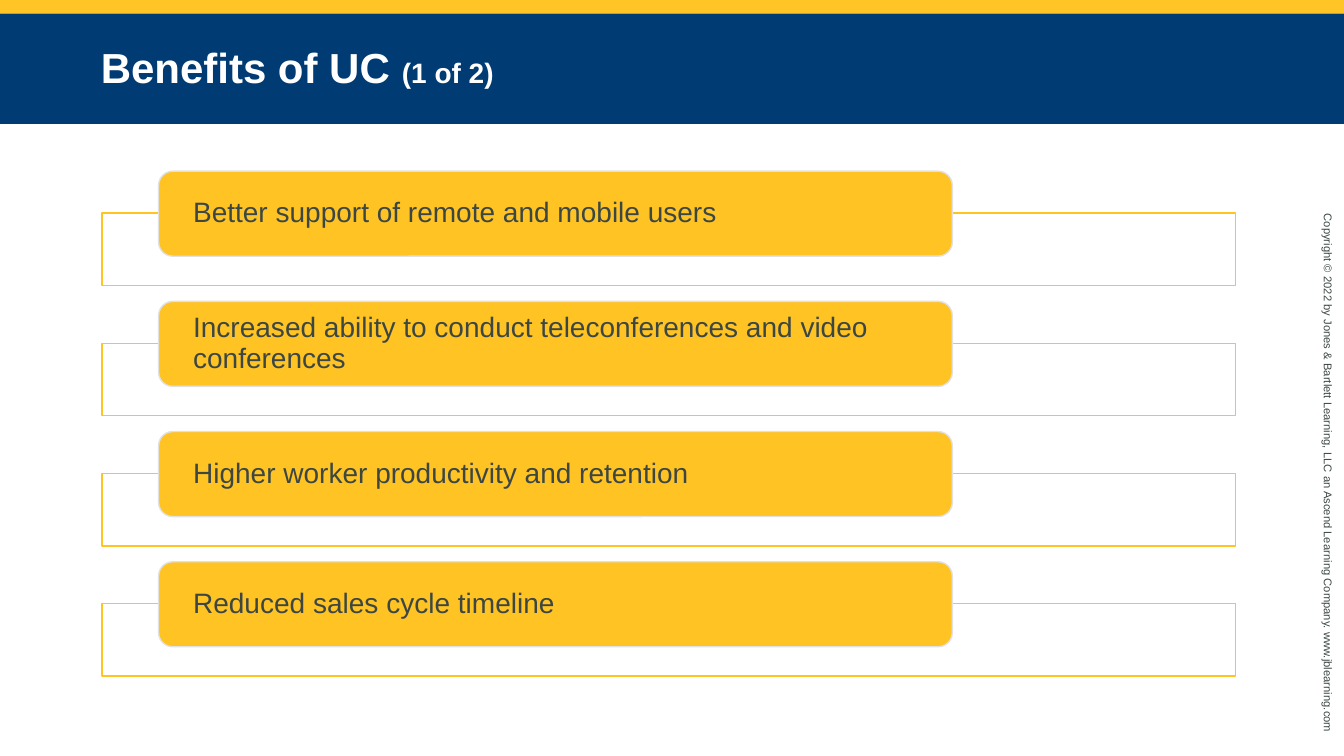
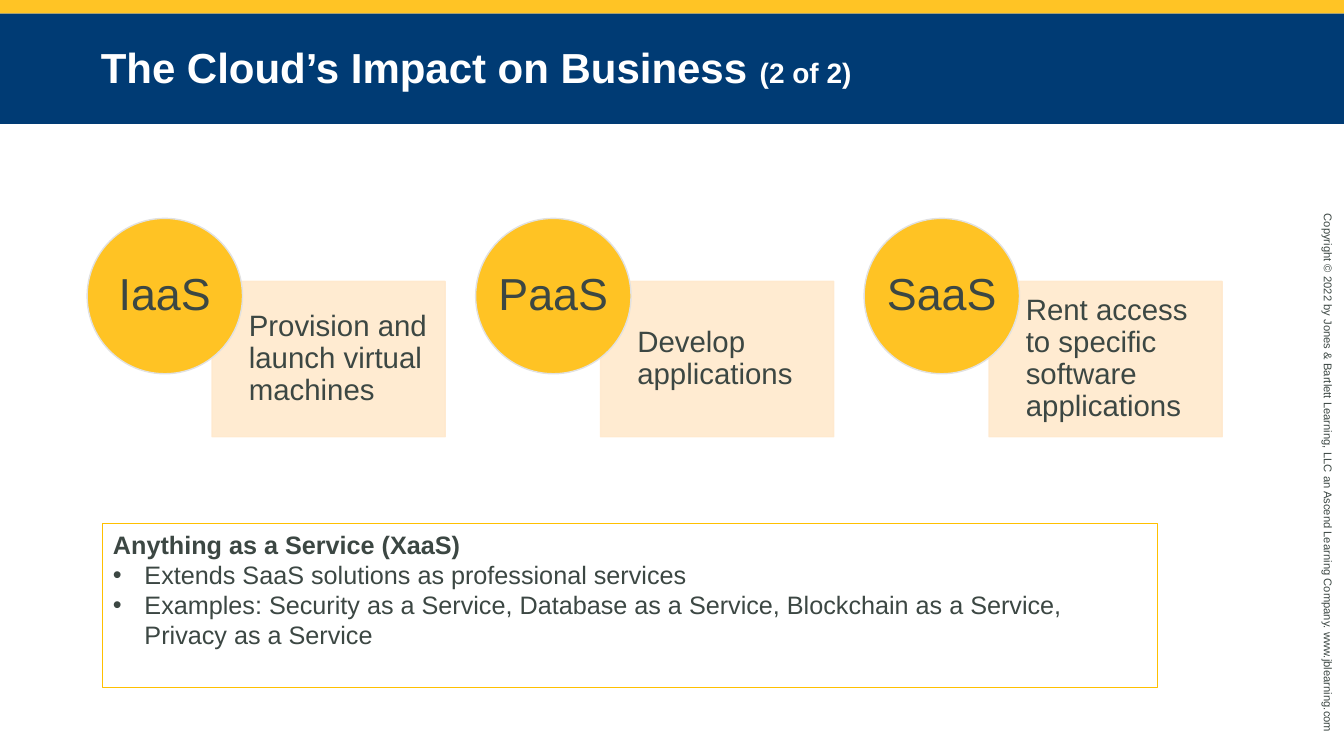
from dataclasses import dataclass

from lxml.etree import SubElement
from pptx import Presentation
from pptx.dml.color import RGBColor
from pptx.enum.shapes import MSO_SHAPE
from pptx.enum.text import MSO_ANCHOR, MSO_AUTO_SIZE, PP_ALIGN
from pptx.oxml.ns import qn
from pptx.util import Pt

PX = 9525  # EMU in one px, on a 1280 x 720 px slide


@dataclass(frozen=True)
class Theme:
    font: str = "Arial"
    band: str = "FFC425"
    title_fill: str = "003B74"
    title_text: str = "FFFFFF"
    text: str = "3C4743"
    accent: str = "FFC324"
    accent_edge: str = "E1E1E1"
    panel: str = "FFE9CD"
    list_edge: str = "FFC000"
    title_size: int = 30
    part_size: int = 20
    card_size: int = 20
    panel_size: int = 21
    circle_size: int = 32
    list_size: int = 18
    copyright_size: int = 8


theme = Theme()


def add_block(slide, kind, box, fill=None, line=None):
    """Add a flat preset shape; box is left, top, width, height in px."""
    shape = slide.shapes.add_shape(kind, *(value * PX for value in box))
    shape.shadow.inherit = False
    if fill:
        shape.fill.solid()
        shape.fill.fore_color.rgb = RGBColor.from_string(fill)
    else:
        shape.fill.background()
    if line:
        shape.line.color.rgb = RGBColor.from_string(line)
        shape.line.width = Pt(1)
    else:
        shape.line.fill.background()
    return shape


def write_text(text_frame, runs, margins, color=theme.text, spacing=0.9,
               alignment=PP_ALIGN.LEFT, wrap=True, bold=False):
    """Write one paragraph of (text, size) runs; margins in px."""
    text_frame.auto_size = MSO_AUTO_SIZE.NONE
    text_frame.word_wrap = wrap
    text_frame.vertical_anchor = MSO_ANCHOR.MIDDLE
    (text_frame.margin_left, text_frame.margin_top,
     text_frame.margin_right, text_frame.margin_bottom) = (value * PX for value in margins)
    paragraph = text_frame.paragraphs[0]
    paragraph.alignment = alignment
    paragraph.line_spacing = spacing
    for text, size in runs:
        run = paragraph.add_run()
        run.text = text
        run.font.name = theme.font
        run.font.size = Pt(size)
        run.font.bold = bold
        run.font.color.rgb = RGBColor.from_string(color)


presentation = Presentation()
presentation.slide_width = 1280 * PX
presentation.slide_height = 720 * PX

# Slides with their titles
slides = []
for layout_index, title, part in [
    (5, "Benefits of UC ", "(1 of 2)"),
    (1, "The Cloud’s Impact on Business ", "(2 of 2)"),
]:
    slide = presentation.slides.add_slide(presentation.slide_layouts[layout_index])
    title_shape = slide.shapes.title
    title_shape.left, title_shape.top = 0, 13 * PX
    title_shape.width, title_shape.height = 1280 * PX, 105 * PX
    title_shape.fill.solid()
    title_shape.fill.fore_color.rgb = RGBColor.from_string(theme.title_fill)
    write_text(title_shape.text_frame, [(title, theme.title_size), (part, theme.part_size)],
               (96, 5, 96, 5), theme.title_text, 0.95, bold=True)
    slides.append(slide)
benefits_slide, cloud_slide = slides

# Top band and copyright line, moved to the slide master
top_band = add_block(benefits_slide, MSO_SHAPE.RECTANGLE, (0, 0, 1280, 13), theme.band)
copyright_line = benefits_slide.shapes.add_textbox(1002 * PX, 445 * PX, 526 * PX, 23 * PX)
copyright_line.rotation = 90
write_text(
    copyright_line.text_frame,
    [("Copyright © 2022 by Jones & Bartlett Learning, LLC an Ascend Learning Company. "
      "www.jblearning.com", theme.copyright_size)],
    (10, 5, 10, 5), spacing=1.0)
for shape_id, shape in enumerate((top_band, copyright_line), start=100):
    shape.element.nvSpPr.cNvPr.set("id", str(shape_id))
    presentation.slide_master.shapes.element.append(shape.element)

# Benefits: a card over an outlined box in each row
benefits = [
    "Better support of remote and mobile users",
    "Increased ability to conduct teleconferences and video conferences",
    "Higher worker productivity and retention",
    "Reduced sales cycle timeline",
]
for row, benefit in enumerate(benefits):
    card_top = 163 + row * 124
    add_block(benefits_slide, MSO_SHAPE.RECTANGLE, (97, card_top + 40, 1080, 69),
              line=theme.accent)
    card = add_block(benefits_slide, MSO_SHAPE.ROUNDED_RECTANGLE, (151, card_top, 756, 81),
                     theme.accent, theme.accent_edge)
    write_text(card.text_frame, [(benefit, theme.card_size)], (29, 0, 29, 0))

# Cloud services: a circle over a panel in each column
services = [
    ("IaaS", "Provision and launch virtual machines"),
    ("PaaS", "Develop applications"),
    ("SaaS", "Rent access to specific software applications"),
]
for column, (service, description) in enumerate(services):
    circle_left = 83 + column * 370
    panel = add_block(cloud_slide, MSO_SHAPE.RECTANGLE, (circle_left + 119, 268, 222, 148),
                      theme.panel, theme.panel)
    for color in panel.element.spPr.iter(qn("a:srgbClr")):
        SubElement(color, qn("a:alpha"), val="90000")
    write_text(panel.text_frame, [(description, theme.panel_size)], (35, 15, 15, 15))
    circle = add_block(cloud_slide, MSO_SHAPE.OVAL, (circle_left, 208, 148, 148),
                       theme.accent, theme.accent_edge)
    write_text(circle.text_frame, [(service, theme.circle_size)], (0, 0, 0, 0),
               alignment=PP_ALIGN.CENTER, wrap=False)

# Anything as a Service: heading and bullets in the body placeholder
body = cloud_slide.placeholders[1]
body.left, body.top, body.width, body.height = (value * PX for value in (98, 499, 1004, 156))
body.line.color.rgb = RGBColor.from_string(theme.list_edge)
body.line.width = Pt(0.75)
body.text_frame.auto_size = MSO_AUTO_SIZE.NONE
body.text_frame.vertical_anchor = MSO_ANCHOR.TOP
body.text_frame.text = "\n".join([
    "Anything as a Service (XaaS)",
    "Extends SaaS solutions as professional services",
    "Examples: Security as a Service, Database as a Service, Blockchain as a Service, "
    "Privacy as a Service",
])
for index, paragraph in enumerate(body.text_frame.paragraphs):
    is_heading = index == 0
    indent = 0 if is_heading else 30 * PX
    paragraph.space_before = Pt(0)
    properties = paragraph._p.get_or_add_pPr()
    properties.set("marL", str(indent))
    properties.set("indent", str(-indent))
    if is_heading:
        SubElement(properties, qn("a:buNone"))
    else:
        SubElement(properties, qn("a:buChar"), char="•")
    font = paragraph.runs[0].font
    font.name = theme.font
    font.size = Pt(theme.list_size)
    font.bold = is_heading
    font.color.rgb = RGBColor.from_string(theme.text)

presentation.save("out.pptx")
